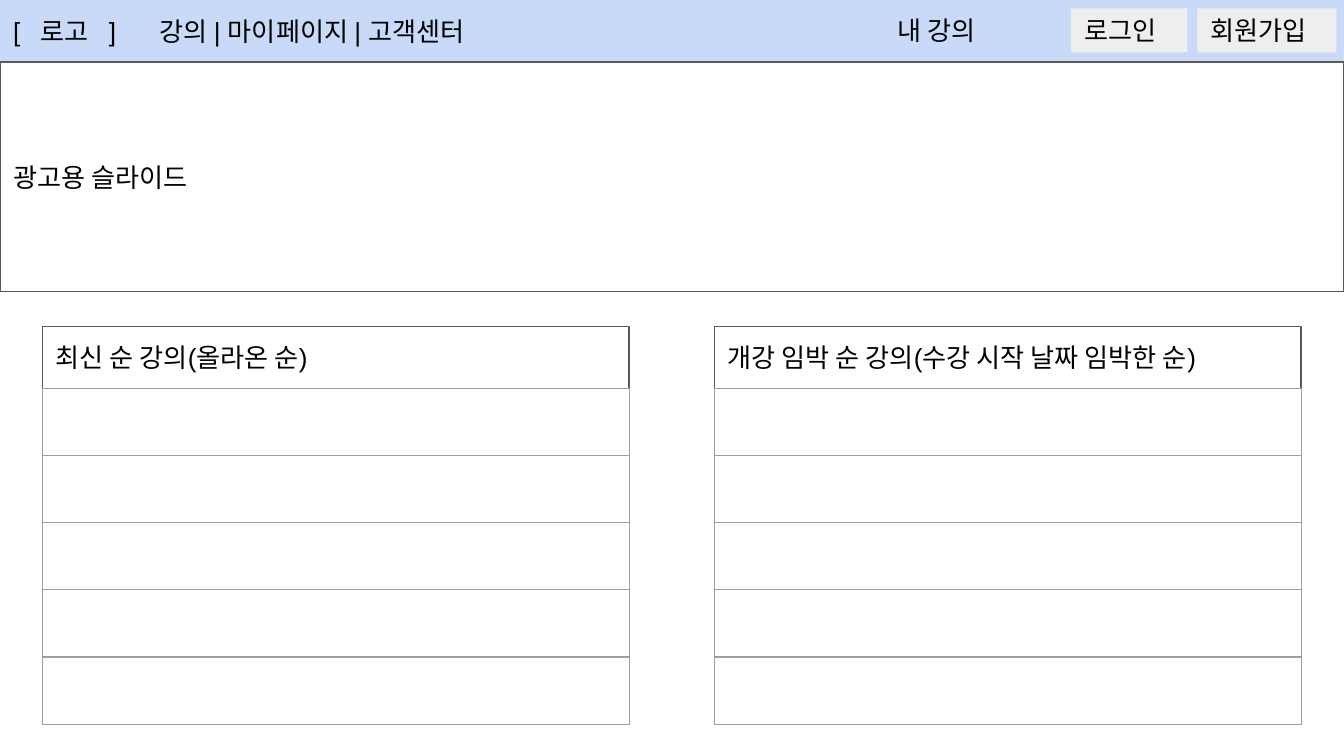
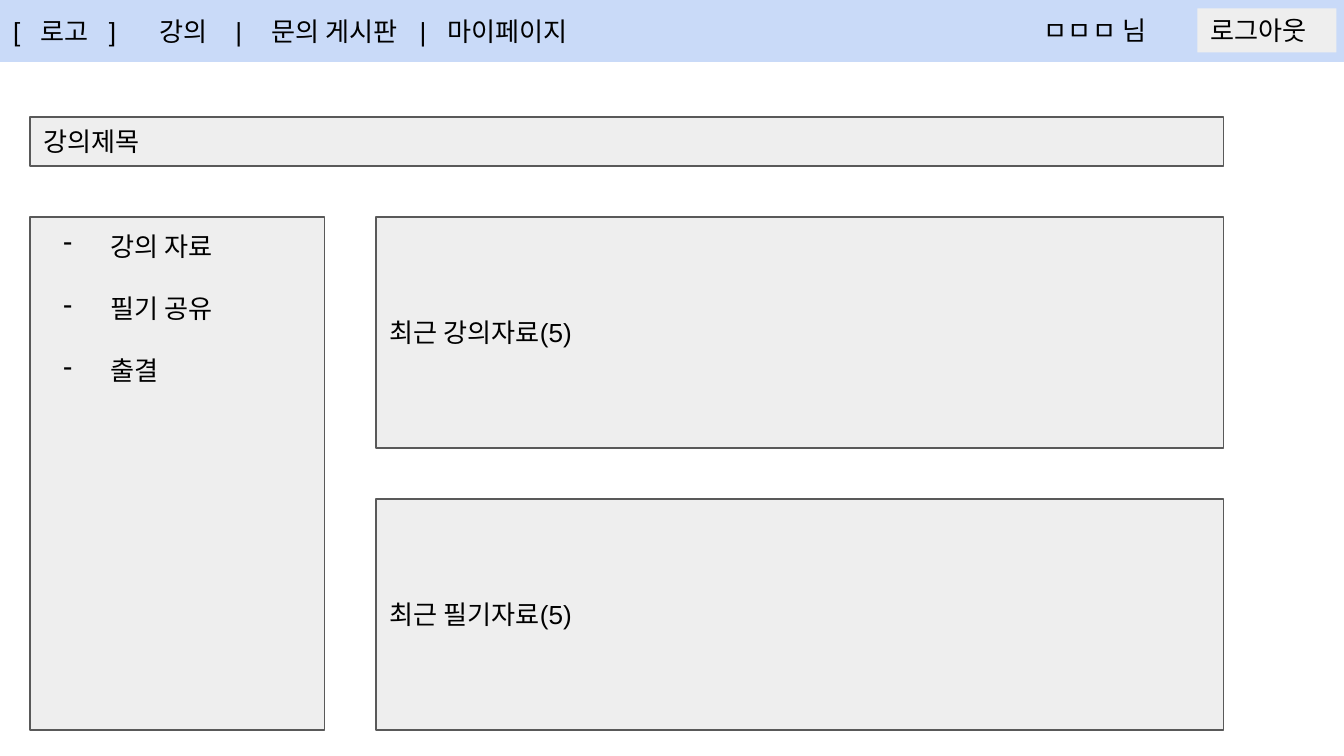
"""Wireframes of a lecture site: the home page and a lecture room."""
from lxml import etree
from pptx import Presentation
from pptx import util as u
from pptx.dml.color import RGBColor
from pptx.enum import shapes, text
from pptx.oxml import ns

COLORS = {
    "band": "C9DAF8",
    "panel": "EEEEEE",
    "paper": "FFFFFF",
    "outline": "595959",
    "grid": "9E9E9E",
    "ink": "000000",
}
FONT, FONT_SIZE = "Arial", u.Pt(14)
INSET = u.Cm(0.25)
LINE_WIDTH = u.Pt(0.75)
PAGE_WIDTH, PAGE_HEIGHT = 25.4, 14.29
BAND_HEIGHT = 1.17
TITLE_ONLY, BLANK = 5, 6


def color(name):
    """Return a palette colour."""
    return RGBColor.from_string(COLORS[name])


def add_xml(parent, tag, **attributes):
    """Append a DrawingML child element and return it."""
    attributes = {key: str(value) for key, value in attributes.items()}
    return etree.SubElement(parent, ns.qn("a:" + tag), attributes)


def write(box, lines, middle=True):
    """Write left-aligned lines in the common text style."""
    frame = box.text_frame
    frame.text = "\n".join(lines)
    frame.word_wrap = True
    frame.auto_size = text.MSO_AUTO_SIZE.NONE
    frame.margin_left = frame.margin_right = INSET
    frame.margin_top = frame.margin_bottom = INSET
    frame.vertical_anchor = text.MSO_ANCHOR.MIDDLE if middle else text.MSO_ANCHOR.TOP
    for para in frame.paragraphs:
        para.alignment = text.PP_ALIGN.LEFT
        para.font.name = FONT
        para.font.size = FONT_SIZE
        para.font.color.rgb = color("ink")
    return frame.paragraphs


def paint(box, fill, outlined):
    """Fill a box and outline it if asked."""
    box.fill.solid()
    box.fill.fore_color.rgb = color(fill)
    if outlined:
        box.line.color.rgb = color("outline")
        box.line.width = LINE_WIDTH
    else:
        box.line.fill.background()


def add_panel(page, area, lines, fill="panel", outlined=True, middle=True):
    """Add a rectangle with text and return its paragraphs."""
    box = page.shapes.add_shape(shapes.MSO_SHAPE.RECTANGLE, *map(u.Cm, area))
    box.shadow.inherit = False
    paint(box, fill, outlined)
    return write(box, lines, middle)


def add_label(page, area, line, middle=True):
    """Add plain text without a frame."""
    write(page.shapes.add_textbox(*map(u.Cm, area)), [line], middle)


def add_button(page, area, line):
    """Add a button without an outline."""
    add_panel(page, area, [line], outlined=False)


def add_navigation(page, area, menu, stops):
    """Add the top band; tab stops (cm) space out the menu."""
    para = add_panel(page, area, [menu], fill="band", outlined=False)[0]
    tabs = etree.Element(ns.qn("a:tabLst"))
    for stop in stops:
        add_xml(tabs, "tab", pos=u.Cm(stop), algn="l")
    para._p.get_or_add_pPr().find(ns.qn("a:defRPr")).addprevious(tabs)


def add_lecture_list(page, area, heading, header_height=1.17, row_count=5):
    """Add a heading box with an empty one-column table below it."""
    left, top, width, height = area
    add_panel(page, (left, top, width, header_height), [heading], fill="paper")
    table_area = (left, top + header_height, width, height - header_height)
    table = page.shapes.add_table(row_count, 1, *map(u.Cm, table_area)).table
    table.first_row = table.horz_banding = False
    for row in table.rows:
        cell = row.cells[0]
        cell.text_frame.paragraphs[0].font.size = FONT_SIZE
        properties = cell._tc.get_or_add_tcPr()
        for side in ("lnL", "lnR", "lnT", "lnB"):
            border = add_xml(properties, side, w=LINE_WIDTH)
            add_xml(add_xml(border, "solidFill"), "srgbClr", val=COLORS["grid"])
        cell.fill.background()


def add_side_menu(page, area, items):
    """Add a panel with a dashed list."""
    for index, para in enumerate(add_panel(page, area, items, middle=False)):
        if index:
            para.space_before = u.Pt(16.5)
        properties = para._p.get_or_add_pPr()
        properties.set("marL", str(u.Cm(1.27)))
        properties.set("indent", str(u.Cm(-0.89)))
        bullet = etree.Element(ns.qn("a:buChar"), char="-")
        properties.find(ns.qn("a:defRPr")).addprevious(bullet)


def add_page_title(page, area, line):
    """Move and format the title placeholder as a panel."""
    title = page.shapes.title
    title.left, title.top, title.width, title.height = map(u.Cm, area)
    paint(title, "panel", True)
    write(title, [line])


def build_home(deck):
    """Build the home page: band, banner and two lecture lists."""
    page = deck.slides.add_slide(deck.slide_layouts[BLANK])
    add_navigation(page, (0, 0, PAGE_WIDTH, BAND_HEIGHT),
                   "[\t로고\t]\t강의 | 마이페이지 | 고객센터", (0.52, 1.81, 2.77))
    add_panel(page, (0, BAND_HEIGHT, PAGE_WIDTH, 4.34), ["광고용 슬라이드"], fill="paper")
    add_button(page, (20.24, 0.16, 2.2, 0.83), "로그인")
    add_button(page, (22.63, 0.16, 2.63, 0.83), "회원가입")
    add_label(page, (16.72, 0.03, 2.97, 1.12), "내 강의", middle=False)
    headings = ("최신 순 강의(올라온 순)", "개강 임박 순 강의(수강 시작 날짜 임박한 순)")
    for index, heading in enumerate(headings):
        left = 0.8 + index * PAGE_WIDTH / 2
        add_lecture_list(page, (left, 6.17, 11.09, 7.52), heading)


def build_lecture_room(deck):
    """Build the lecture page: band, title, side menu and two panels."""
    page = deck.slides.add_slide(deck.slide_layouts[TITLE_ONLY])
    add_navigation(page, (0, 0, PAGE_WIDTH, BAND_HEIGHT),
                   "[\t로고\t]\t강의\t|\t문의 게시판\t|\t마이페이지",
                   (0.52, 1.81, 2.77, 4.2, 4.88, 7.68, 8.21))
    add_label(page, (19.48, 0.16, 2.97, 0.83), "ㅁㅁㅁ 님")
    add_button(page, (22.63, 0.16, 2.63, 0.83), "로그아웃")
    add_page_title(page, (0.57, 2.21, 22.55, 0.93), "강의제목")
    top, height, gap = 4.1, 4.37, 0.96
    add_side_menu(page, (0.57, top, 5.56, 2 * height + gap), ["강의 자료", "필기 공유", "출결"])
    for index, heading in enumerate(("최근 강의자료(5)", "최근 필기자료(5)")):
        add_panel(page, (7.11, top + index * (height + gap), 16.01, height), [heading])


deck = Presentation()
deck.slide_width, deck.slide_height = u.Cm(PAGE_WIDTH), u.Cm(PAGE_HEIGHT)
build_home(deck)
build_lecture_room(deck)
deck.save("out.pptx")
